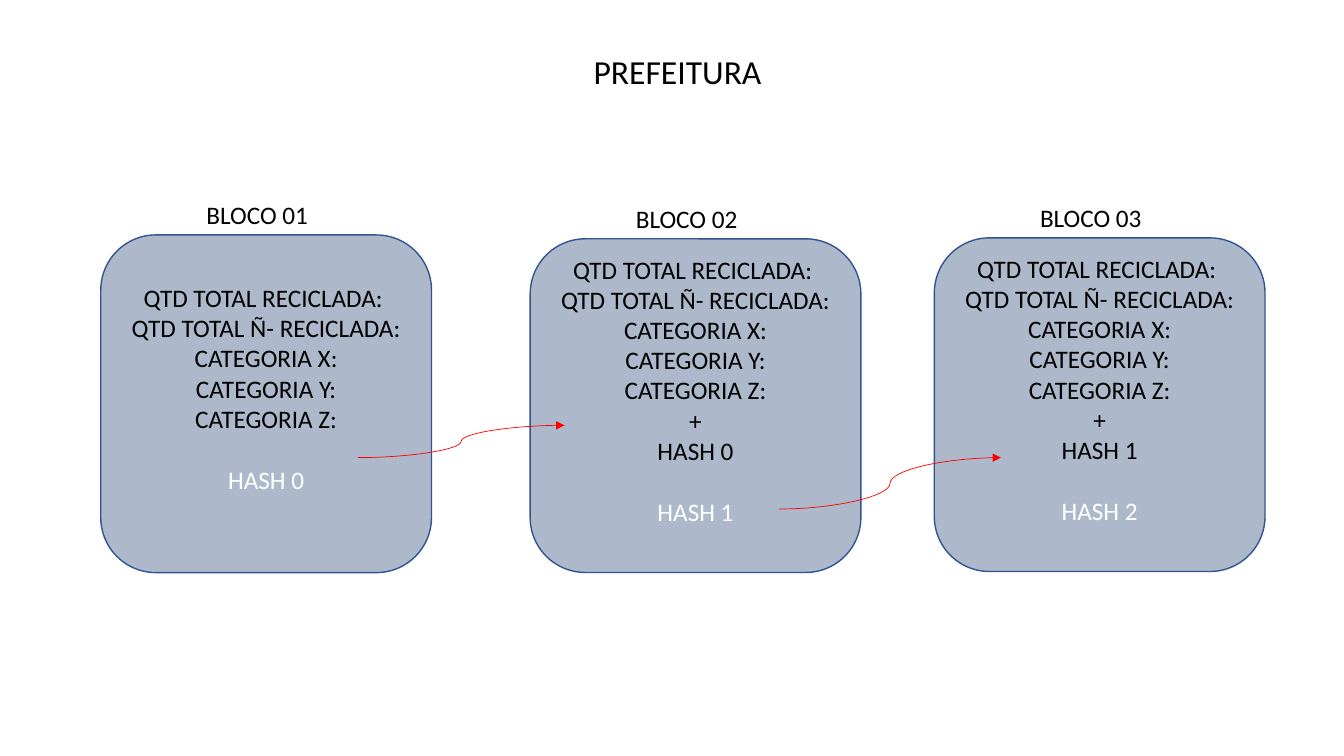
"""Build the PREFEITURA slide: three linked blocks of recycling totals."""
from dataclasses import dataclass

from lxml import etree
from pptx import Presentation
from pptx.dml.color import RGBColor
from pptx.enum import shapes, text
from pptx.oxml import ns
from pptx.util import Pt

FONT = "Calibri"
BLACK, WHITE, RED = "000000", "FFFFFF", "FF0000"
BLOCK_FILL, BLOCK_LINE = "ADB9CA", "325491"
BODY_SIZE = 18
LINE_HEIGHT = 22
INSET = 3.6
BLOCK_WIDTH = 236.2
LABEL_OFFSET, LABEL_WIDTH, LABEL_HEIGHT = 68.4, 99.4, 28.8
TOTALS = (
    "QTD TOTAL RECICLADA: ",
    "QTD TOTAL Ñ- RECICLADA:",
    "CATEGORIA X:",
    "CATEGORIA Y:",
    "CATEGORIA Z:",
)


@dataclass(frozen=True)
class Block:
    """A block of the chain; previous_hash is empty for the first one."""
    label: str
    left: float
    top: float
    height: float
    previous_hash: str
    own_hash: str


@dataclass(frozen=True)
class Link:
    """A curved arrow from one hash to the next block."""
    start: tuple[float, float]
    end: tuple[float, float]


BLOCKS = (
    Block("BLOCO 01", 72, 167.8, 241.2, "", "HASH 0"),
    Block("BLOCO 02", 378.7, 170.6, 238.3, "HASH 0", "HASH 1"),
    Block("BLOCO 03", 667.4, 169.9, 238.3, "HASH 1", "HASH 2"),
)
LINKS = (
    Link((255.6, 326.9), (403.2, 303.8)),
    Link((556.6, 363.6), (715, 326.9)),
)


def colour(value: str) -> RGBColor:
    """Turn a hex string into a colour."""
    return RGBColor.from_string(value)


def style(paragraph, size: float, ink: str) -> None:
    """Set the font of a whole paragraph."""
    font = paragraph.font
    font.name, font.size = FONT, Pt(size)
    font.color.rgb = colour(ink)


def add_label(page, words: str, left: float, top: float, width: float,
              height: float, size: float, wrap: bool = True) -> None:
    """Add a one-line text box."""
    box = page.shapes.add_textbox(Pt(left), Pt(top), Pt(width), Pt(height))
    frame = box.text_frame
    frame.word_wrap = wrap
    frame.auto_size = text.MSO_AUTO_SIZE.SHAPE_TO_FIT_TEXT
    frame.text = words
    style(frame.paragraphs[0], size, BLACK)


def add_block(page, block: Block) -> None:
    """Add a rounded block with its totals, hashes and label."""
    box = page.shapes.add_shape(
        shapes.MSO_SHAPE.ROUNDED_RECTANGLE, Pt(block.left), Pt(block.top),
        Pt(BLOCK_WIDTH), Pt(block.height))
    box.shadow.inherit = False
    box.fill.solid()
    box.fill.fore_color.rgb = colour(BLOCK_FILL)
    box.line.color.rgb = colour(BLOCK_LINE)
    box.line.width = Pt(1)

    frame = box.text_frame
    frame.word_wrap = True
    frame.vertical_anchor = text.MSO_ANCHOR.MIDDLE
    frame.margin_bottom = Pt(INSET + LINE_HEIGHT)
    inherited = ("+", block.previous_hash) if block.previous_hash else ()
    frame.text = "\n".join((*TOTALS, *inherited, block.own_hash))
    for paragraph in frame.paragraphs:
        paragraph.alignment = text.PP_ALIGN.CENTER
        style(paragraph, BODY_SIZE, BLACK)
    own_hash = frame.paragraphs[-1]
    own_hash.space_before = Pt(LINE_HEIGHT)
    style(own_hash, BODY_SIZE, WHITE)

    add_label(page, block.label, block.left + LABEL_OFFSET,
              block.top - LABEL_HEIGHT, LABEL_WIDTH, LABEL_HEIGHT, BODY_SIZE)


def add_link(page, link: Link) -> None:
    """Add a thin red curve with an arrowhead at its end."""
    points = [Pt(value) for value in (*link.start, *link.end)]
    curve = page.shapes.add_connector(shapes.MSO_CONNECTOR.CURVE, *points)
    curve.line.color.rgb = colour(RED)
    curve.line.width = Pt(0.5)
    properties = curve.element.spPr
    outline = properties.find(ns.qn("a:ln"))
    etree.SubElement(outline, ns.qn("a:tailEnd"), type="triangle")
    etree.SubElement(properties, ns.qn("a:effectLst"))


def main() -> None:
    """Build and save the deck."""
    deck = Presentation()
    deck.slide_width, deck.slide_height = Pt(960), Pt(540)
    page = deck.slides.add_slide(deck.slide_layouts[6])
    add_label(page, "PREFEITURA", 416.9, 33.1, 135.4, 36, 24, wrap=False)
    for block in BLOCKS:
        add_block(page, block)
    for link in LINKS:
        add_link(page, link)
    deck.save("out.pptx")


main()
